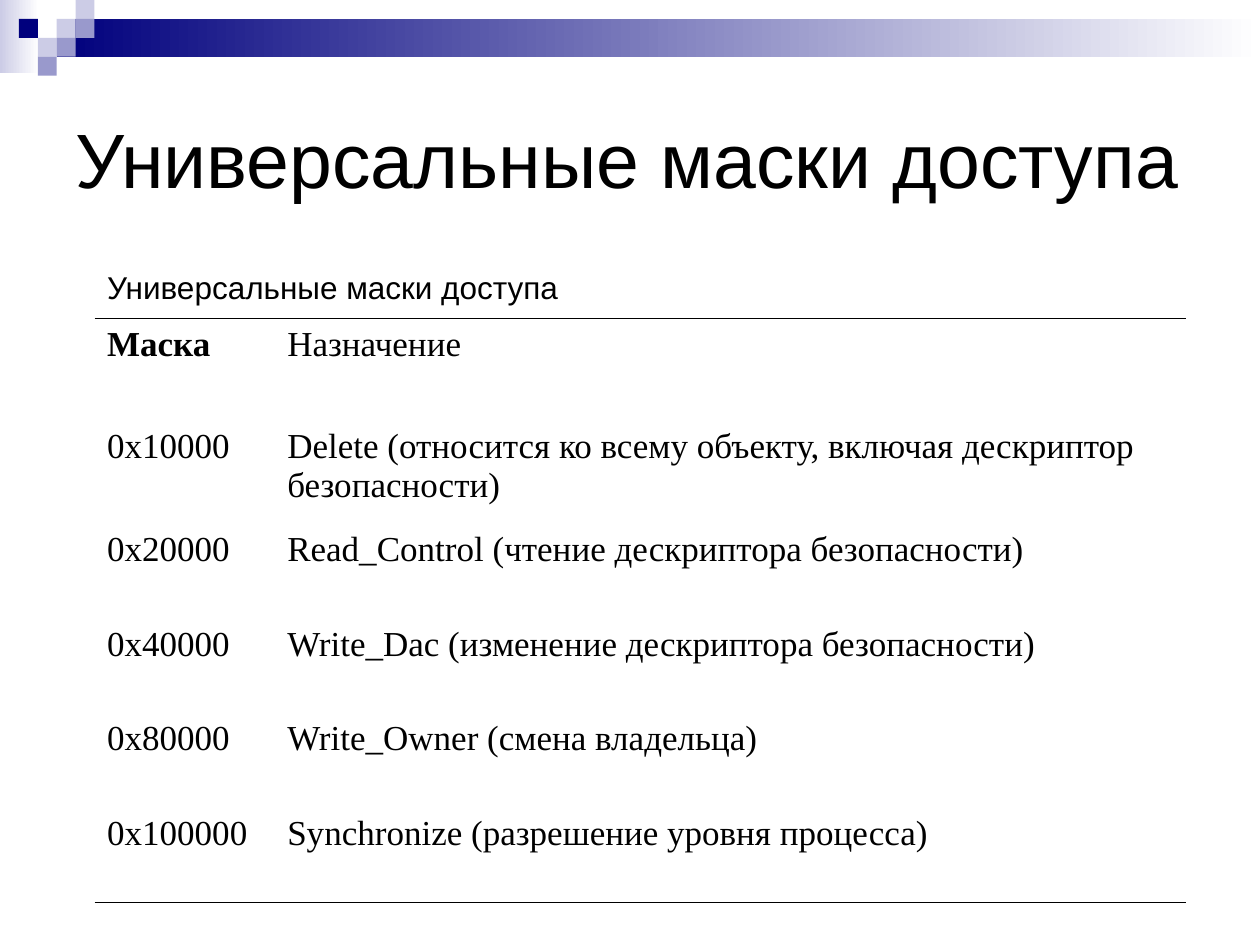
from typing import NamedTuple

from lxml import etree
from pptx import Presentation
from pptx.dml.color import RGBColor
from pptx.enum.shapes import MSO_SHAPE
from pptx.enum.text import MSO_ANCHOR, PP_ALIGN
from pptx.oxml.ns import qn
from pptx.util import Inches, Pt

RECT = MSO_SHAPE.RECTANGLE
MIDDLE, TOP = MSO_ANCHOR.MIDDLE, MSO_ANCHOR.TOP
LEFT = PP_ALIGN.LEFT

NAVY = RGBColor(0x00, 0x00, 0x7D)
LILAC = RGBColor(0x99, 0x99, 0xCC)
PALE = RGBColor(0xCC, 0xCC, 0xE6)
WHITE = RGBColor(0xFF, 0xFF, 0xFF)
BLACK = RGBColor(0x00, 0x00, 0x00)

SANS, SERIF = "Arial", "Times New Roman"
TILE = 0.15
TITLE = "Универсальные маски доступа"


class Band(NamedTuple):
    left: float
    top: float
    width: float
    height: float
    color: RGBColor


class Tile(NamedTuple):
    col: int
    row: int
    color: RGBColor


class Mask(NamedTuple):
    value: str
    purpose: str
    height: float


BANDS = [Band(0, 0, 0.31, 0.58, PALE), Band(0.45, 0.15, 9.55, 0.3, NAVY)]
TILES = [
    Tile(3, 1, PALE), Tile(4, 0, PALE), Tile(4, 1, LILAC), Tile(2, 2, PALE),
    Tile(1, 1, NAVY), Tile(3, 2, LILAC), Tile(2, 3, LILAC),
]
MASKS = [
    Mask("Маска", "Назначение", 0.81),
    Mask("0x10000", "Delete (относится ко всему объекту, включая дескриптор безопасности)", 0.82),
    Mask("0x20000", "Read_Control (чтение дескриптора безопасности)", 0.75),
    Mask("0x40000", "Write_Dac (изменение дескриптора безопасности)", 0.75),
    Mask("0x80000", "Write_Owner (смена владельца)", 0.75),
    Mask("0x100000", "Synchronize (разрешение уровня процесса)", 0.75),
]


def add_rect(s, left: float, top: float, width: float, height: float):
    sp = s.shapes.add_shape(RECT, Inches(left), Inches(top), Inches(width), Inches(height))
    sp.shadow.inherit = False
    sp.line.fill.background()
    return sp


def add_band(s, band: Band) -> None:
    """Draw a bar that fades to white on the right."""
    fill = add_rect(s, band.left, band.top, band.width, band.height).fill
    fill.gradient()
    fill.gradient_angle = 0
    for stop, color in zip(fill.gradient_stops, (band.color, WHITE)):
        stop.color.rgb = color


def add_tile(s, tile: Tile) -> None:
    sp = add_rect(s, tile.col * TILE, tile.row * TILE, TILE, TILE)
    sp.fill.solid()
    sp.fill.fore_color.rgb = tile.color


def write(tf, text: str, font: str, size: float, bold: bool = False) -> None:
    p = tf.paragraphs[0]
    p.alignment = LEFT
    r = p.add_run()
    r.text = text
    r.font.name, r.font.size, r.font.bold = font, Pt(size), bold
    r.font.color.rgb = BLACK


def format_cell(cell, ruled: str) -> None:
    """Fill the cell white and rule only the sides named in ruled."""
    cell.margin_left = cell.margin_right = Inches(0.1)
    cell.margin_top = cell.margin_bottom = Inches(0.05)
    cell.vertical_anchor = TOP
    tcPr = cell._tc.get_or_add_tcPr()
    for side in "LRTB":
        ln = etree.SubElement(tcPr, qn(f"a:ln{side}"))
        if side in ruled:
            ln.set("w", str(Pt(0.45)))
            solid = etree.SubElement(ln, qn("a:solidFill"))
            etree.SubElement(solid, qn("a:srgbClr")).set("val", str(BLACK))
        else:
            etree.SubElement(ln, qn("a:noFill"))
    cell.fill.solid()
    cell.fill.fore_color.rgb = WHITE


def add_mask_table(s) -> None:
    last = len(MASKS)
    frame = s.shapes.add_table(last + 1, 2, Inches(0.75), Inches(2.1), Inches(8.66), Inches(5.06))
    table = frame.table
    table.first_row = table.horz_banding = False
    for column, width in zip(table.columns, (1.43, 7.23)):
        column.width = Inches(width)

    # Rules under the caption and under the last row
    rules = {0: "B", 1: "T", last: "B"}
    for i, row in enumerate(table.rows):
        for cell in row.cells:
            format_cell(cell, rules.get(i, ""))

    # Caption across both columns
    table.rows[0].height = Inches(0.43)
    caption = table.cell(0, 0)
    caption.merge(table.cell(0, 1))
    write(caption.text_frame, TITLE, SANS, 18)

    # Masks and their purposes
    for i, mask in enumerate(MASKS, start=1):
        table.rows[i].height = Inches(mask.height)
        write(table.cell(i, 0).text_frame, mask.value, SERIF, 20, bold=i == 1)
        write(table.cell(i, 1).text_frame, mask.purpose, SERIF, 20)


def main() -> None:
    prs = Presentation()
    prs.slide_width, prs.slide_height = Inches(10), Inches(7.5)
    s = prs.slides.add_slide(prs.slide_layouts[5])

    # Corner decoration
    for band in BANDS:
        add_band(s, band)
    for tile in TILES:
        add_tile(s, tile)

    # Title
    title = s.shapes.title
    title.left, title.top = Inches(0.5), Inches(0.5)
    title.width, title.height = Inches(9), Inches(1.5)
    title.text_frame.vertical_anchor = MIDDLE
    write(title.text_frame, TITLE, SANS, 44)

    add_mask_table(s)
    prs.save("out.pptx")


if __name__ == "__main__":
    main()
